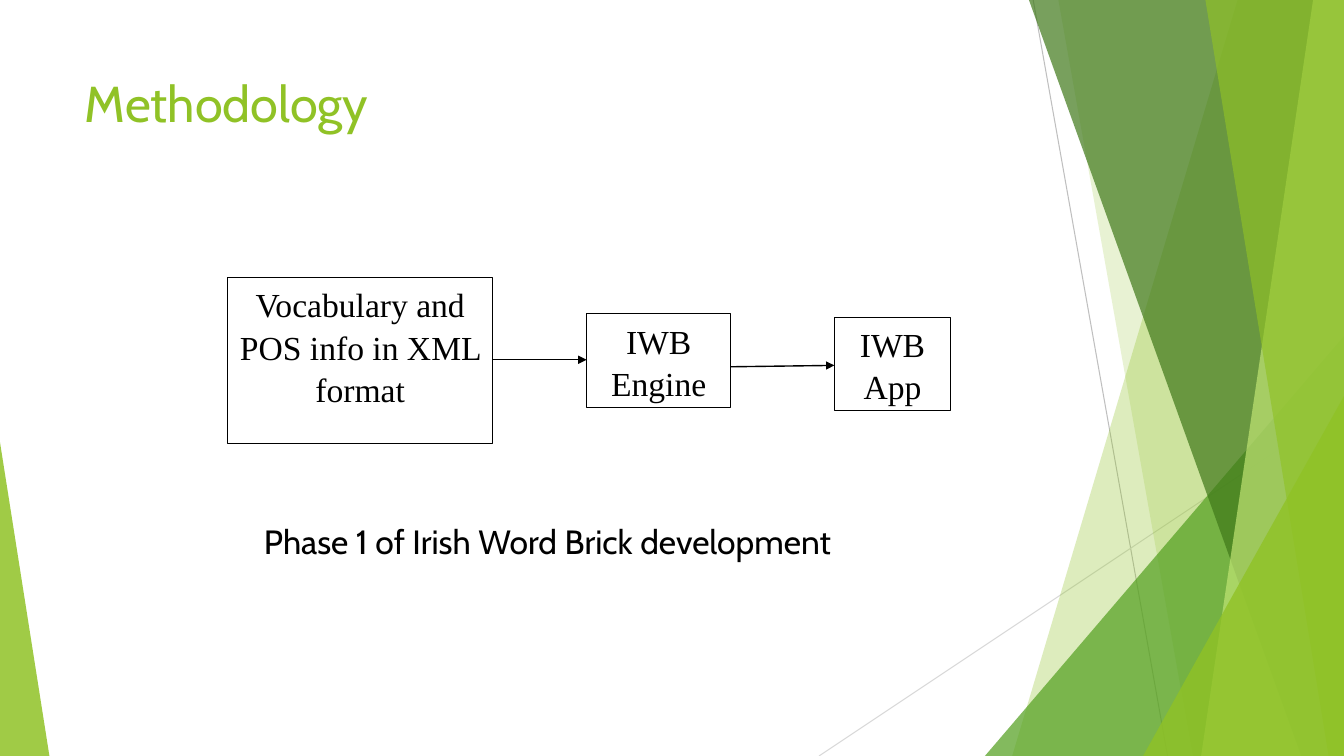
import pptx
import pptx.util
import pptx.dml.color
import pptx.enum.shapes
import pptx.enum.text
import pptx.oxml
import pptx.oxml.ns

Pt = pptx.util.Pt
RGBColor = pptx.dml.color.RGBColor
SHAPE = pptx.enum.shapes.MSO_SHAPE
ALIGN = pptx.enum.text.PP_ALIGN
ANCHOR = pptx.enum.text.MSO_ANCHOR

WIDTH, HEIGHT = 960, 540
LIME = RGBColor(0x90, 0xC2, 0x26)
GREEN = RGBColor(0x54, 0xA0, 0x21)
FOREST = RGBColor(0x3F, 0x78, 0x19)
PALE = RGBColor(0xC0, 0xE4, 0x74)
GREY = RGBColor(0xBF, 0xBF, 0xBF)
LIGHT_GREY = RGBColor(0xD9, 0xD9, 0xD9)
BLACK = RGBColor(0, 0, 0)
WHITE = RGBColor(255, 255, 255)


class SlideBuilder:
    heading_font = "Cabin"
    box_font = "Times New Roman"
    text_size = 24

    def __init__(self, slide):
        self.slide = slide
        self.shapes = slide.shapes

    def set_text(self, shape, text, font, size, color, align=ALIGN.LEFT):
        frame = shape.text_frame
        frame.word_wrap = True
        frame.vertical_anchor = ANCHOR.TOP
        frame.text = text
        para = frame.paragraphs[0]
        para.alignment = align
        span = para.runs[0]
        span.font.name = font
        span.font.size = Pt(size)
        span.font.color.rgb = color
        return para

    def title(self, text, left, top, width, height):
        title = self.shapes.title
        title.left, title.top = Pt(left), Pt(top)
        title.width, title.height = Pt(width), Pt(height)
        self.set_text(title, text, self.heading_font, 36, LIME)

    def caption(self, text, left, top, width, height):
        caption = self.shapes.add_textbox(Pt(left), Pt(top), Pt(width), Pt(height))
        self.set_text(caption, text, self.heading_font, self.text_size, BLACK)

    def box(self, text, left, top, width, height):
        box = self.shapes.add_shape(SHAPE.RECTANGLE, Pt(left), Pt(top), Pt(width), Pt(height))
        self.paint(box, WHITE)
        box.line.color.rgb = BLACK
        box.line.width = Pt(0.5)
        para = self.set_text(box, text, self.box_font, self.text_size, BLACK, ALIGN.CENTER)
        para.line_spacing = 1.05

    def paint(self, shape, color, opacity=100):
        shape.shadow.inherit = False
        shape.fill.solid()
        shape.fill.fore_color.rgb = color
        shape.line.fill.background()
        if opacity < 100:
            tint = shape._element.spPr.find(".//" + pptx.oxml.ns.qn("a:srgbClr"))
            alpha = pptx.oxml.parse_xml(
                f'<a:alpha {pptx.oxml.ns.nsdecls("a")} val="{opacity * 1000}"/>')
            tint.append(alpha)

    def band(self, top_x, bottom_x, color, opacity):
        builder = self.shapes.build_freeform(Pt(top_x), 0)
        corners = [(WIDTH, 0), (WIDTH, HEIGHT), (bottom_x, HEIGHT)]
        builder.add_line_segments([(Pt(x), Pt(y)) for x, y in corners])
        self.paint(builder.convert_to_shape(), color, opacity)

    def corner(self, left, top, width, peak, color, opacity):
        corner = self.shapes.add_shape(
            SHAPE.ISOSCELES_TRIANGLE, Pt(left), Pt(top), Pt(width), Pt(HEIGHT - top))
        corner.adjustments[0] = peak
        self.paint(corner, color, opacity)

    def line(self, start, end, color, width, arrow=False):
        line = self.shapes.add_connector(
            pptx.enum.shapes.MSO_CONNECTOR.STRAIGHT, *[Pt(value) for value in start + end])
        line.line.color.rgb = color
        line.line.width = Pt(width)
        names = pptx.oxml.ns.nsdecls("a")
        properties = line._element.spPr
        if arrow:
            properties.find(pptx.oxml.ns.qn("a:ln")).append(
                pptx.oxml.parse_xml(f'<a:tailEnd {names} type="triangle"/>'))
        properties.append(pptx.oxml.parse_xml(f"<a:effectLst {names}/>"))


deck = pptx.Presentation()
deck.slide_width, deck.slide_height = Pt(WIDTH), Pt(HEIGHT)
page = SlideBuilder(deck.slides.add_slide(deck.slide_layouts[5]))

page.line((738, 0), (834, HEIGHT), GREY, 0.75)
page.line((WIDTH, 290), (585, HEIGHT), LIGHT_GREY, 0.75)
page.band(884, 723, LIME, 30)
page.band(756, 852, LIME, 20)
page.corner(703.5, 240, 256.5, 1, GREEN, 72)
page.band(735, 929.5, FOREST, 70)
page.band(938, 858, PALE, 70)
page.band(861, 949, LIME, 65)
page.corner(816.5, 283, 143.5, 1, LIME, 80)
page.corner(0, 316, 35.3, 0, LIME, 85)

page.title("Methodology", 53.3, 48, 677, 104)
page.box("Vocabulary and POS info in XML format", 162.5, 198, 189.5, 119)
page.box("IWB Engine", 419, 224, 103, 67)
page.box("IWB App", 596, 226.5, 83, 67)
page.line((352, 257), (419, 257), BLACK, 1, arrow=True)
page.line((522, 262), (596, 261), BLACK, 1, arrow=True)
page.caption("Phase 1 of Irish Word Brick development", 181.5, 368.5, 518, 36)

deck.save("out.pptx")
